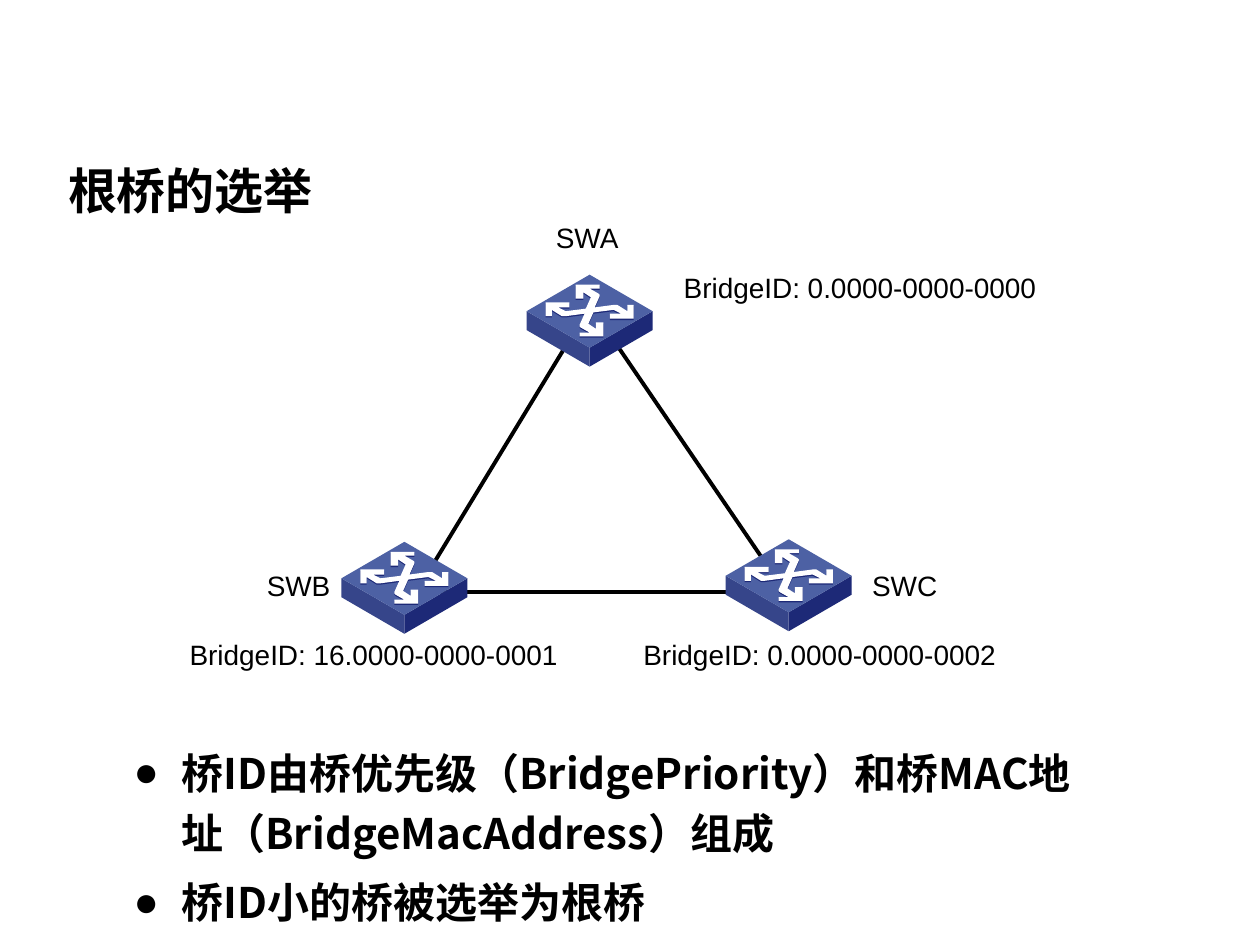
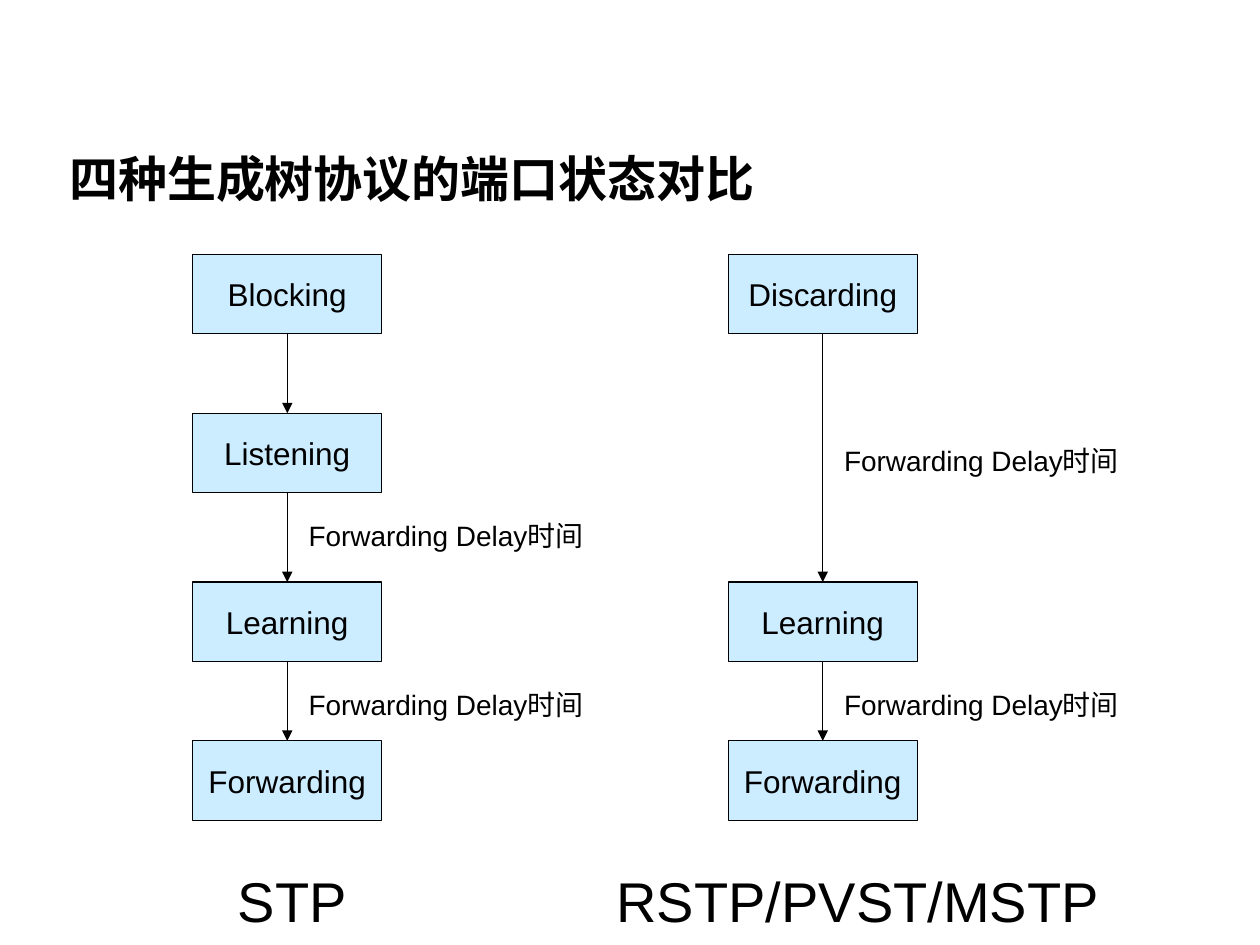
from dataclasses import dataclass

import pptx
import pptx.dml.color
import pptx.enum.shapes
import pptx.enum.text
import pptx.oxml
import pptx.oxml.ns
import pptx.util
from pptx.util import Inches

# Shared look
COLORS = {
    "ink": "000000",
    "state": "CCECFF",
    "switch_top": "4D61A4",
    "switch_left": "36458A",
    "switch_dark": "1D2977",
    "switch_arrows": "FFFFFF",
}
LABEL_FORMAT = {"name": "Arial", "size": pptx.util.Pt(16), "bold": False}
STATE_FORMAT = LABEL_FORMAT | {"size": pptx.util.Pt(18)}
PROTOCOL_FORMAT = LABEL_FORMAT | {"size": pptx.util.Pt(32)}
TITLE_FORMAT = {"name": "Noto Sans CJK JP", "size": pptx.util.Pt(28), "bold": True}
RULE_FORMAT = {"name": "Noto Sans CJK SC", "size": pptx.util.Pt(24), "bold": True}

# Switch icon outlines, measured from the icon's top left corner
SWITCH_FACES = {
    "switch_dark": [(1, 0.29), (1, 0.44), (0.5, 0.73), (0.5, 0.58)],
    "switch_left": [(0.5, 0.58), (0.5, 0.73), (0, 0.44), (0, 0.29)],
    "switch_top": [(1, 0.29), (0.5, 0.58), (0, 0.29), (0.5, 0)],
}
HALF_ARROWS = [
    (0.85, 0.24), (0.80, 0.24), (0.80, 0.29), (0.72, 0.24), (0.71, 0.24), (0.69, 0.24),
    (0.54, 0.26), (0.58, 0.17), (0.58, 0.16), (0.57, 0.15), (0.50, 0.11), (0.58, 0.11),
    (0.58, 0.08), (0.39, 0.08), (0.39, 0.19), (0.45, 0.19), (0.45, 0.14), (0.51, 0.18),
    (0.47, 0.27), (0.31, 0.29), (0.25, 0.26), (0.34, 0.26), (0.34, 0.22), (0.15, 0.22),
]
# The second half is the first turned by 180 degrees
ARROWS = HALF_ARROWS + [(1 - x, 0.57 - y) for x, y in HALF_ARROWS]

STATE_WIDTH, STATE_HEIGHT = 1.5, 0.63


@dataclass(frozen=True)
class Label:
    text: str
    left: float
    top: float
    width: float
    height: float = 0.37


@dataclass(frozen=True)
class Switch:
    left: float
    top: float
    name: Label
    bridge_id: Label


@dataclass(frozen=True)
class StateFlow:
    left: float
    states: dict[str, float]
    delay_tops: list[float]
    protocol: Label


SWITCHES = [
    Switch(2.71, 4.30, Label("SWB", 1.66, 4.46, 1.42),
           Label("BridgeID: 16.0000-0000-0001", 1.27, 5.01, 3.39)),
    Switch(5.76, 4.28, Label("SWC", 6.47, 4.46, 1.42),
           Label("BridgeID: 0.0000-0000-0002", 4.81, 5.01, 3.39)),
    Switch(4.18, 2.18, Label("SWA", 3.95, 1.70, 1.42),
           Label("BridgeID: 0.0000-0000-0000", 5.13, 2.10, 3.39)),
]
LINKS = [((3.4, 4.54), (4.5, 2.73)), ((3.47, 4.7), (5.92, 4.7)), ((4.89, 2.73), (6.07, 4.46))]
RULES = [
    "桥ID由桥优先级（BridgePriority）和桥MAC地址（BridgeMacAddress）组成",
    "桥ID小的桥被选举为根桥",
]
FLOWS = [
    StateFlow(1.53, {"Blocking": 2.02, "Listening": 3.28, "Learning": 4.62, "Forwarding": 5.88},
              [4.07, 5.41], Label("STP", 1.61, 6.83, 1.42, 0.63)),
    StateFlow(5.78, {"Discarding": 2.02, "Learning": 4.62, "Forwarding": 5.88},
              [3.47, 5.41], Label("RSTP/PVST/MSTP", 4.76, 6.83, 4.1, 0.63)),
]


def rgb(color: str) -> pptx.dml.color.RGBColor:
    return pptx.dml.color.RGBColor.from_string(COLORS[color])


def xml_child(parent, tag: str, **attributes: str) -> None:
    child = pptx.oxml.parse_xml(f"<a:{tag} {pptx.oxml.ns.nsdecls('a')}/>")
    for key, value in attributes.items():
        child.set(key, value)
    parent.append(child)


def place(shape, left: float, top: float, width: float, height: float) -> None:
    for side, value in zip(("left", "top", "width", "height"), (left, top, width, height)):
        setattr(shape, side, Inches(value))


def write(paragraph, text: str, font_format: dict, align=pptx.enum.text.PP_ALIGN.CENTER) -> None:
    paragraph.alignment = align
    run = paragraph.add_run()
    run.text = text
    for key, value in font_format.items():
        setattr(run.font, key, value)
    run.font.color.rgb = rgb("ink")
    if "CJK" in font_format["name"]:
        xml_child(run.font._element, "ea", typeface=font_format["name"])


def add_titled_slide(deck, layout: int, title: str, left: float, top: float):
    slide = deck.slides.add_slide(deck.slide_layouts[layout])
    heading = slide.shapes.title
    place(heading, left, top, 8.61, 0.71)
    heading.text_frame.vertical_anchor = pptx.enum.text.MSO_ANCHOR.MIDDLE
    heading.text_frame.auto_size = pptx.enum.text.MSO_AUTO_SIZE.NONE
    write(heading.text_frame.paragraphs[0], title, TITLE_FORMAT, pptx.enum.text.PP_ALIGN.LEFT)
    return slide


def add_label(slide, label: Label, font_format: dict = LABEL_FORMAT) -> None:
    box = slide.shapes.add_textbox(
        *map(Inches, (label.left, label.top, label.width, label.height)))
    box.text_frame.word_wrap = True
    write(box.text_frame.paragraphs[0], label.text, font_format)


def add_line(slide, start: tuple, end: tuple, weight: float, arrow: bool = False) -> None:
    line = slide.shapes.add_connector(
        pptx.enum.shapes.MSO_CONNECTOR.STRAIGHT, *map(Inches, (*start, *end)))
    line.line.color.rgb = rgb("ink")
    line.line.width = pptx.util.Pt(weight)
    if arrow:
        xml_child(line.line._get_or_add_ln(), "tailEnd", type="triangle")
    xml_child(line._element.spPr, "effectLst")


def add_outline(group, points: list, left: float, top: float, color: str) -> None:
    corners = [(Inches(left + x), Inches(top + y)) for x, y in points]
    builder = group.shapes.build_freeform(*corners[0])
    builder.add_line_segments(corners[1:], close=True)
    outline = builder.convert_to_shape()
    outline.shadow.inherit = False
    outline.fill.solid()
    outline.fill.fore_color.rgb = rgb(color)
    outline.line.fill.background()


def add_switch(slide, switch: Switch) -> None:
    icon = slide.shapes.add_group_shape()
    for color, face in SWITCH_FACES.items():
        add_outline(icon, face, switch.left, switch.top, color)
    add_outline(icon, ARROWS, switch.left, switch.top + 0.01, "switch_dark")
    add_outline(icon, ARROWS, switch.left, switch.top, "switch_arrows")
    add_label(slide, switch.name)
    add_label(slide, switch.bridge_id)


def add_rules(slide) -> None:
    body = slide.placeholders[1]
    place(body, 0.96, 5.8, 7.72, 1.42)
    frame = body.text_frame
    frame.auto_size = pptx.enum.text.MSO_AUTO_SIZE.NONE
    for index, rule in enumerate(RULES):
        paragraph = frame.add_paragraph() if index else frame.paragraphs[0]
        properties = paragraph._p.get_or_add_pPr()
        properties.set("marL", str(Inches(0.38)))
        properties.set("indent", str(-Inches(0.38)))
        xml_child(properties, "buChar", char="●")
        paragraph.line_spacing = 1.2
        paragraph.space_before = pptx.util.Pt(5 if index else 0)
        write(paragraph, rule, RULE_FORMAT, pptx.enum.text.PP_ALIGN.LEFT)


def add_state(slide, state: str, left: float, top: float) -> None:
    box = slide.shapes.add_shape(
        pptx.enum.shapes.MSO_SHAPE.FLOWCHART_PROCESS,
        *map(Inches, (left, top, STATE_WIDTH, STATE_HEIGHT)))
    box.shadow.inherit = False
    box.fill.solid()
    box.fill.fore_color.rgb = rgb("state")
    box.line.color.rgb = rgb("ink")
    box.line.width = pptx.util.Pt(0.75)
    box.text_frame.word_wrap = False
    box.text_frame.vertical_anchor = pptx.enum.text.MSO_ANCHOR.MIDDLE
    write(box.text_frame.paragraphs[0], state, STATE_FORMAT)


def add_flow(slide, flow: StateFlow) -> None:
    for state, top in flow.states.items():
        add_state(slide, state, flow.left, top)
    tops = list(flow.states.values())
    middle = flow.left + STATE_WIDTH / 2
    for top, next_top in zip(tops, tops[1:]):
        add_line(slide, (middle, top + STATE_HEIGHT), (middle, next_top), 0.75, arrow=True)
    for top in flow.delay_tops:
        add_label(slide, Label("Forwarding Delay时间", flow.left + 0.63, top, 2.76))
    add_label(slide, flow.protocol, PROTOCOL_FORMAT)


def main() -> None:
    deck = pptx.Presentation()
    deck.slide_width, deck.slide_height = Inches(10), Inches(7.5)

    # Root bridge election
    election = add_titled_slide(deck, 1, "根桥的选举", 0.44, 1.15)
    for start, end in LINKS:
        add_line(election, start, end, 2.25)
    for switch in SWITCHES:
        add_switch(election, switch)
    add_rules(election)

    # Port states compared
    comparison = add_titled_slide(deck, 5, "四种生成树协议的端口状态对比", 0.45, 1.06)
    for flow in FLOWS:
        add_flow(comparison, flow)

    deck.save("out.pptx")


if __name__ == "__main__":
    main()
